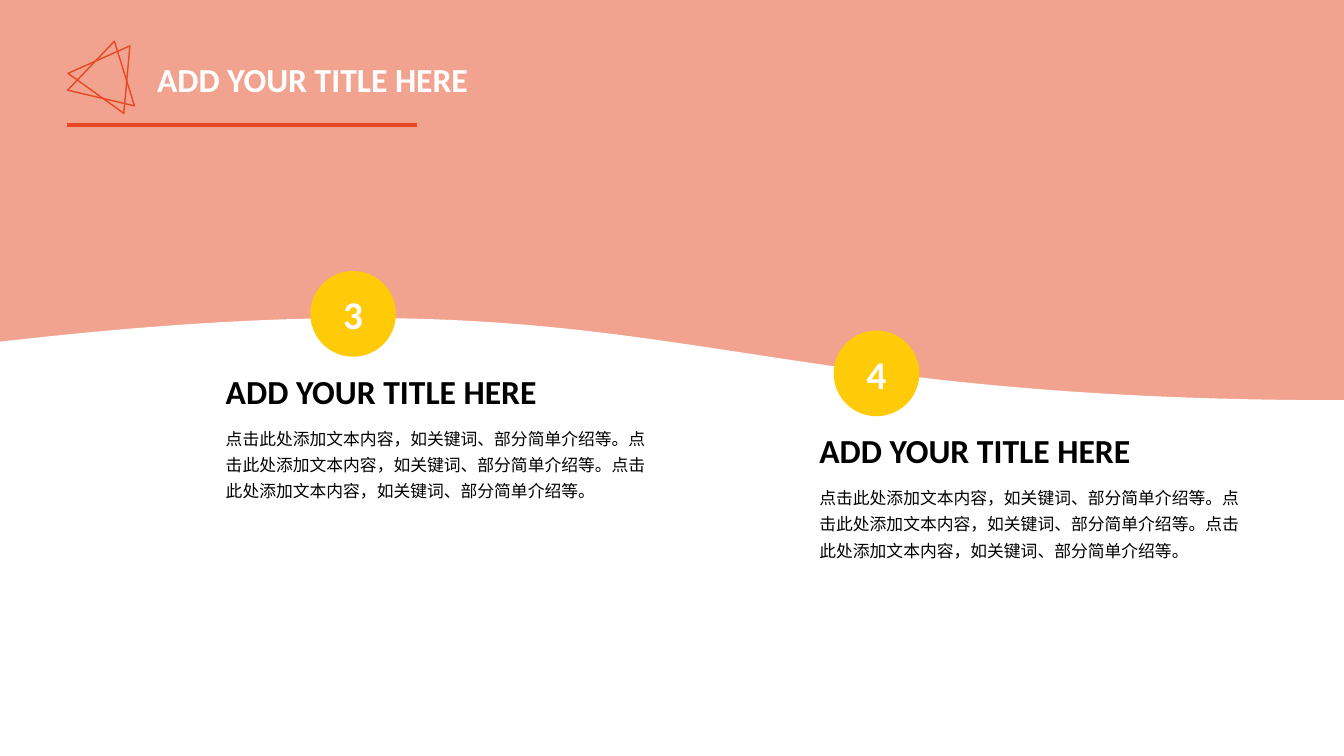
"""Build a two-step slide with a wave background and numbered circles."""
from lxml import etree
from pptx import Presentation
from pptx.dml.color import RGBColor
from pptx.enum.shapes import MSO_CONNECTOR, MSO_SHAPE
from pptx.enum.text import MSO_ANCHOR, MSO_AUTO_SIZE, PP_ALIGN
from pptx.oxml.ns import qn
from pptx.util import Cm, Pt

RECT = MSO_SHAPE.RECTANGLE
TRIANGLE = MSO_SHAPE.ISOSCELES_TRIANGLE
WAVE = MSO_SHAPE.FLOWCHART_DOCUMENT
OVAL = MSO_SHAPE.OVAL
STRAIGHT = MSO_CONNECTOR.STRAIGHT
MIDDLE = MSO_ANCHOR.MIDDLE
CENTER = PP_ALIGN.CENTER
FIT_SHAPE = MSO_AUTO_SIZE.SHAPE_TO_FIT_TEXT

COLORS = {"accent": "E64823", "badge": "FFCA08", "white": "FFFFFF", "black": "000000"}
WIDTH, HEIGHT = 33.87, 19.05
TITLE = "ADD YOUR TITLE HERE"
BODY = "点击此处添加文本内容，如关键词、部分简单介绍等。" * 3


class SlideBuilder:
    """Hold the slide and its style, and add each kind of element."""

    def __init__(self, slide, font="Calibri"):
        self.shapes = slide.shapes
        self.font = font

    def color(self, name):
        return RGBColor.from_string(COLORS[name])

    def shape(self, kind, x, y, w, h, fill=None, line=None, rotation=0):
        s = self.shapes.add_shape(kind, Cm(x), Cm(y), Cm(w), Cm(h))
        s.shadow.inherit = False
        s.rotation = rotation
        if fill:
            s.fill.solid()
            s.fill.fore_color.rgb = self.color(fill)
        else:
            s.fill.background()
        if line:
            s.line.color.rgb = self.color(line)
            s.line.width = Pt(1)
        else:
            s.line.fill.background()
        return s

    def backdrop(self):
        s = self.shape(RECT, 0, 0, WIDTH, HEIGHT, "accent")
        rgb = s._element.spPr.find(qn("a:solidFill")).find(qn("a:srgbClr"))
        etree.SubElement(rgb, qn("a:alpha")).set("val", "50000")

    def wave(self, top):
        s = self.shape(WAVE, 0, top, WIDTH, HEIGHT - top, "white", rotation=180)
        s._element.spPr.find(qn("a:xfrm")).set("flipH", "1")

    def rule(self, x1, x2, y):
        s = self.shapes.add_connector(STRAIGHT, Cm(x1), Cm(y), Cm(x2), Cm(y))
        s.line.color.rgb = self.color("accent")
        s.line.width = Pt(3)
        etree.SubElement(s._element.spPr, qn("a:effectLst"))

    def set_text(self, tf, text, size, color, bold=True):
        tf.text = text
        p = tf.paragraphs[0]
        r = p.runs[0]
        r.font.name = self.font
        r.font.size = Pt(size)
        r.font.bold = bold
        r.font.color.rgb = self.color(color)
        return p

    def badge(self, x, y, number):
        s = self.shape(OVAL, x, y, 2.16, 2.16, "badge")
        s.text_frame.vertical_anchor = MIDDLE
        self.set_text(s.text_frame, number, 28, "white").alignment = CENTER

    def textbox(self, x, y, w, h, text, size, color, bold=True):
        tf = self.shapes.add_textbox(Cm(x), Cm(y), Cm(w), Cm(h)).text_frame
        tf.word_wrap = True
        tf.auto_size = FIT_SHAPE
        return self.set_text(tf, text, size, color, bold)

    def title(self, x, y, color):
        self.textbox(x, y, 9.14, 1.28, TITLE, 24, color)

    def step(self, number, badge_x, text_x, y):
        self.badge(badge_x, y, number)
        self.title(text_x, y + 2.39, "black")
        p = self.textbox(text_x, y + 3.69, 11.23, 2.26, BODY, 12, "black", False)
        p.line_spacing = 1.3


def main():
    prs = Presentation()
    prs.slide_width, prs.slide_height = Cm(WIDTH), Cm(HEIGHT)
    b = SlideBuilder(prs.slides.add_slide(prs.slide_layouts[6]))
    b.backdrop()
    for x, angle in ((1.98, 35.6), (1.85, 13.2)):
        b.shape(TRIANGLE, x, 1.02, 1.73, 1.47, line="accent", rotation=angle)
    b.rule(1.7, 10.52, 3.15)
    b.wave(7.87)
    b.step("3", 7.82, 5.44, 6.83)
    b.step("4", 21.01, 20.4, 8.33)
    b.title(3.71, 1.37, "white")
    prs.save("out.pptx")


if __name__ == "__main__":
    main()
